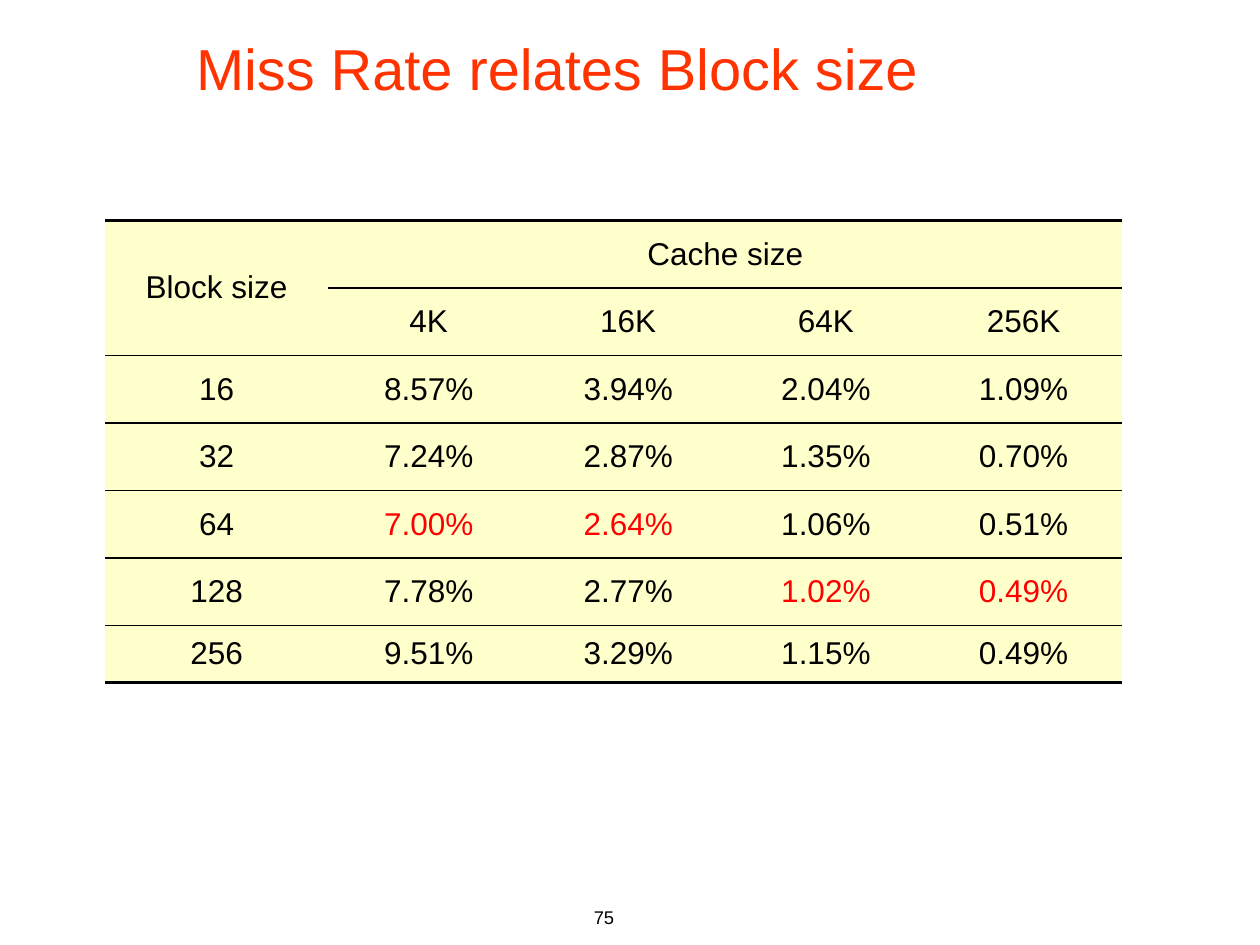
from dataclasses import dataclass

from lxml.etree import SubElement
from pptx import Presentation
from pptx.dml.color import RGBColor as Rgb
from pptx.enum.text import MSO_ANCHOR as Anchor, PP_ALIGN as Align
from pptx.oxml.ns import qn
from pptx.util import Pt


@dataclass(frozen=True)
class Theme:
    font: str = "Arial"
    title_color: str = "FF3300"
    text_color: str = "000000"
    best_color: str = "FF0000"
    cell_fill: str = "FFFFCC"
    page_fill: str = "FFFFFF"
    title_size: float = 33
    table_size: float = 18
    number_size: float = 10.5
    outer_line: float = 2.25
    inner_line: float = 1


THEME = Theme()

ROWS = [
    ["Block size", "Cache size", "", "", ""],
    ["", "4K", "16K", "64K", "256K"],
    ["16", "8.57%", "3.94%", "2.04%", "1.09%"],
    ["32", "7.24%", "2.87%", "1.35%", "0.70%"],
    ["64", "7.00%", "2.64%", "1.06%", "0.51%"],
    ["128", "7.78%", "2.77%", "1.02%", "0.49%"],
    ["256", "9.51%", "3.29%", "1.15%", "0.49%"],
]
BEST_CELLS = {(4, 1), (4, 2), (5, 3), (5, 4)}
COLUMN_WIDTHS = [127.5, 115, 113, 113, 113]
ROW_HEIGHTS = [38.6] * 6 + [32.4]


def write_text(frame, text, size, color, align, anchor):
    frame.word_wrap = True
    frame.vertical_anchor = anchor
    para = frame.paragraphs[0]
    para.alignment = align
    span = para.add_run()
    span.text = text
    span.font.name = THEME.font
    span.font.size = Pt(size)
    span.font.color.rgb = Rgb.from_string(color)


def paint(fill, color):
    fill.solid()
    fill.fore_color.rgb = Rgb.from_string(color)


def add_text(page, place, text, size, color, align, anchor):
    box = page.shapes.add_textbox(*map(Pt, place))
    write_text(box.text_frame, text, size, color, align, anchor)
    return box


def set_borders(cell, top, bottom):
    """Draw horizontal rules of the given widths; a width of 0 hides the edge."""
    props = cell._tc.get_or_add_tcPr()
    edges = {"a:lnL": 0, "a:lnR": 0, "a:lnT": top, "a:lnB": bottom}
    for index, (tag, width) in enumerate(edges.items()):
        line = SubElement(props, qn(tag), w=str(int(Pt(width))))
        if width:
            solid = SubElement(line, qn("a:solidFill"))
            SubElement(solid, qn("a:srgbClr"), val=THEME.text_color)
        else:
            SubElement(line, qn("a:noFill"))
        props.insert(index, line)  # borders come before the fill


def add_miss_rate_table(page, left, top):
    frame = page.shapes.add_table(
        len(ROWS), len(COLUMN_WIDTHS), Pt(left), Pt(top),
        Pt(sum(COLUMN_WIDTHS)), Pt(sum(ROW_HEIGHTS)))
    table = frame.table
    table.first_row = table.horz_banding = False
    for column, width in zip(table.columns, COLUMN_WIDTHS):
        column.width = Pt(width)
    for row, height in zip(table.rows, ROW_HEIGHTS):
        row.height = Pt(height)

    # Header cells that span rows or columns
    table.cell(0, 0).merge(table.cell(1, 0))
    table.cell(0, 1).merge(table.cell(0, 4))

    # Cell text, fill and rules
    rules = [THEME.outer_line] + [THEME.inner_line] * (len(ROWS) - 1) + [THEME.outer_line]
    for r, values in enumerate(ROWS):
        for c, value in enumerate(values):
            cell = table.cell(r, c)
            paint(cell.fill, THEME.cell_fill)
            inside_block_header = (r, c) == (1, 0)
            set_borders(cell, 0 if inside_block_header else rules[r], rules[r + 1])
            if value:
                color = THEME.best_color if (r, c) in BEST_CELLS else THEME.text_color
                write_text(cell.text_frame, value, THEME.table_size, color,
                           Align.CENTER, Anchor.MIDDLE)
                cell.vertical_anchor = Anchor.MIDDLE


def main():
    deck = Presentation()
    deck.slide_width, deck.slide_height = Pt(720), Pt(540)
    page = deck.slides.add_slide(deck.slide_layouts[6])
    paint(page.background.fill, THEME.page_fill)

    # Page number
    add_text(page, (208, 514, 150, 36), "75", THEME.number_size,
             THEME.text_color, Align.RIGHT, Anchor.TOP)

    # Title
    title = add_text(page, (105, 0, 595.5, 77), "Miss Rate relates Block size",
                     THEME.title_size, THEME.title_color, Align.LEFT, Anchor.MIDDLE)
    paint(title.fill, THEME.page_fill)

    # Miss rates by block and cache size
    add_miss_rate_table(page, 60, 126)

    deck.save("out.pptx")


if __name__ == "__main__":
    main()
